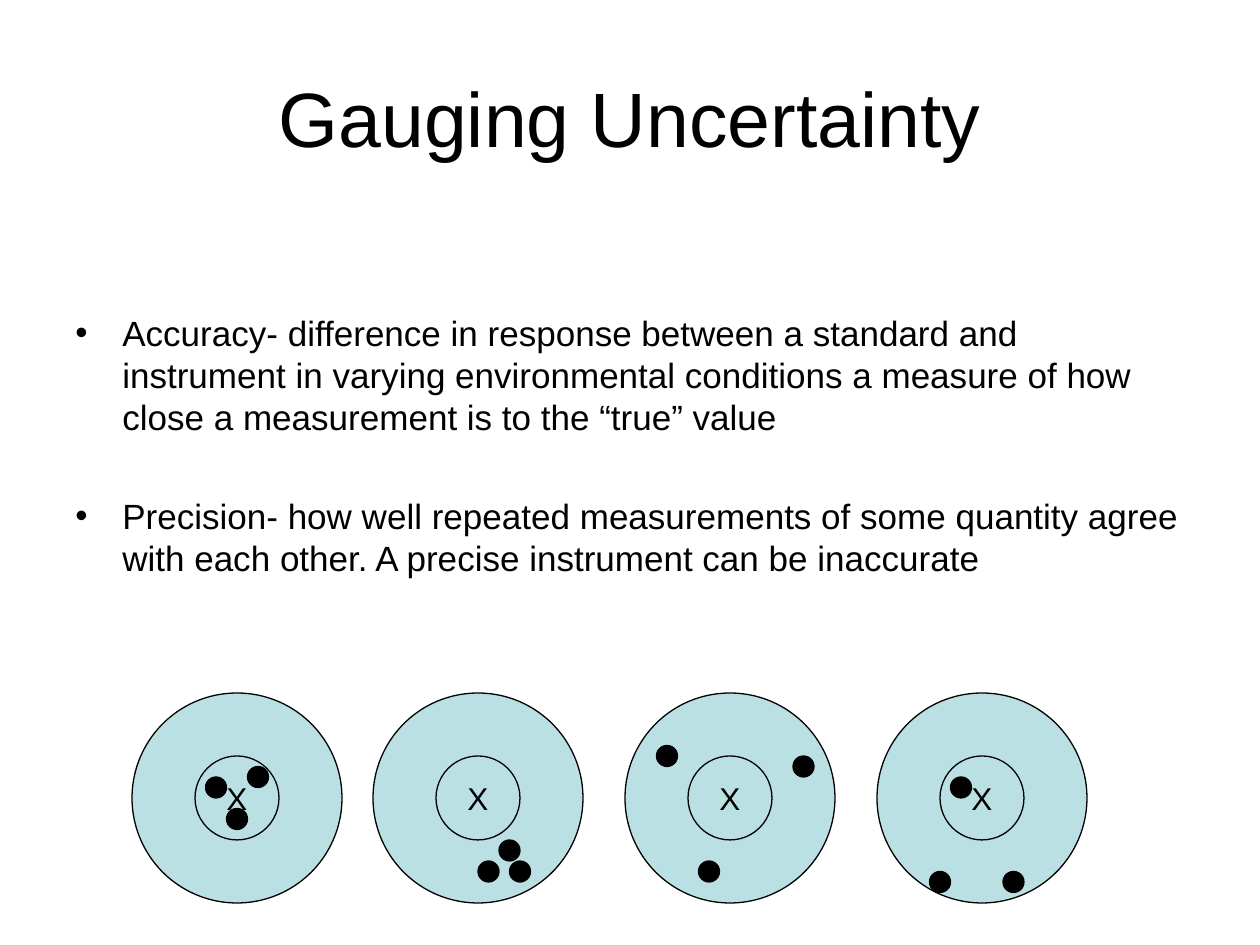
from dataclasses import dataclass

from lxml import etree
from pptx import Presentation
from pptx.dml.color import RGBColor
from pptx.enum.shapes import MSO_SHAPE
from pptx.enum.text import MSO_ANCHOR, PP_ALIGN
from pptx.oxml.ns import qn
from pptx.util import Pt

ELLIPSE = MSO_SHAPE.OVAL
MIDDLE = MSO_ANCHOR.MIDDLE
TOP = MSO_ANCHOR.TOP
CENTER = PP_ALIGN.CENTER
PX_PER_INCH = 126


@dataclass(frozen=True)
class Theme:
    font: str = "Arial"
    ink: RGBColor = RGBColor(0x00, 0x00, 0x00)
    target: RGBColor = RGBColor(0xBB, 0xE0, 0xE3)
    title_size: int = 44
    body_size: int = 20
    body_leading: int = 24
    body_gap: int = 32
    mark_size: int = 18
    outline: float = 0.75


THEME = Theme()

TITLE = "Gauging Uncertainty"
DEFINITIONS = (
    "Accuracy- difference in response between a standard and instrument in varying "
    "environmental conditions a measure of how close a measurement is to the “true” value",
    "Precision- how well repeated measurements of some quantity agree with each other. "
    "A precise instrument can be inaccurate",
)

RING, BULLSEYE, DOT = 210, 84, 21
TARGET_Y = 798
# Target centre, then hits counted in dot radii from that centre.
TARGETS = (
    (237, ((-2, -1), (0, 2), (2, -2))),
    (478, ((1, 7), (3, 5), (4, 7))),
    (730, ((-6, -4), (-2, 7), (7, -3))),
    (982, ((-2, -1), (-4, 8), (3, 8))),
)


def px(length):
    return round(length * 914400 / PX_PER_INCH)


def place(shape, left, top, width, height):
    shape.left, shape.top = px(left), px(top)
    shape.width, shape.height = px(width), px(height)


def style_text(para, size):
    for span in para.runs:
        span.font.name = THEME.font
        span.font.size = Pt(size)
        span.font.color.rgb = THEME.ink


def add_title(page):
    title = page.shapes.title
    place(title, 63, 38, 1134, 158)
    frame = title.text_frame
    frame.text = TITLE
    frame.vertical_anchor = MIDDLE
    frame.paragraphs[0].alignment = CENTER
    style_text(frame.paragraphs[0], THEME.title_size)


def add_bullet(para):
    properties = para._p.get_or_add_pPr()
    properties.set("marL", str(px(47)))
    properties.set("indent", str(px(-47)))
    etree.SubElement(properties, qn("a:buFont")).set("typeface", THEME.font)
    etree.SubElement(properties, qn("a:buChar")).set("char", "•")


def add_definitions(page):
    box = page.shapes.add_textbox(px(63), px(221), px(1134), px(683))
    frame = box.text_frame
    frame.word_wrap = True
    frame.vertical_anchor = TOP
    frame.margin_top = px(91)
    frame.text = "\n".join(DEFINITIONS)
    for index, para in enumerate(frame.paragraphs):
        add_bullet(para)
        para.line_spacing = Pt(THEME.body_leading)
        para.space_before = Pt(THEME.body_gap if index else 0)
        style_text(para, THEME.body_size)


def add_circle(group, center_x, center_y, size, fill):
    circle = group.shapes.add_shape(
        ELLIPSE, px(center_x - size / 2), px(center_y - size / 2), px(size), px(size)
    )
    circle.shadow.inherit = False
    circle.fill.solid()
    circle.fill.fore_color.rgb = fill
    circle.line.color.rgb = THEME.ink
    circle.line.width = Pt(THEME.outline)
    return circle


def add_target(group, center_x, hits):
    add_circle(group, center_x, TARGET_Y, RING, THEME.target)
    bullseye = add_circle(group, center_x, TARGET_Y, BULLSEYE, THEME.target)
    frame = bullseye.text_frame
    frame.word_wrap = False
    frame.vertical_anchor = MIDDLE
    frame.text = "X"
    frame.paragraphs[0].alignment = CENTER
    style_text(frame.paragraphs[0], THEME.mark_size)
    for across, down in hits:
        add_circle(
            group, center_x + across * DOT / 2, TARGET_Y + down * DOT / 2, DOT, THEME.ink
        )


def main():
    deck = Presentation()
    deck.slide_width, deck.slide_height = px(1260), px(945)
    page = deck.slides.add_slide(deck.slide_layouts[5])
    add_title(page)
    add_definitions(page)
    group = page.shapes.add_group_shape()
    for center_x, hits in TARGETS:
        add_target(group, center_x, hits)
    deck.save("out.pptx")


if __name__ == "__main__":
    main()
